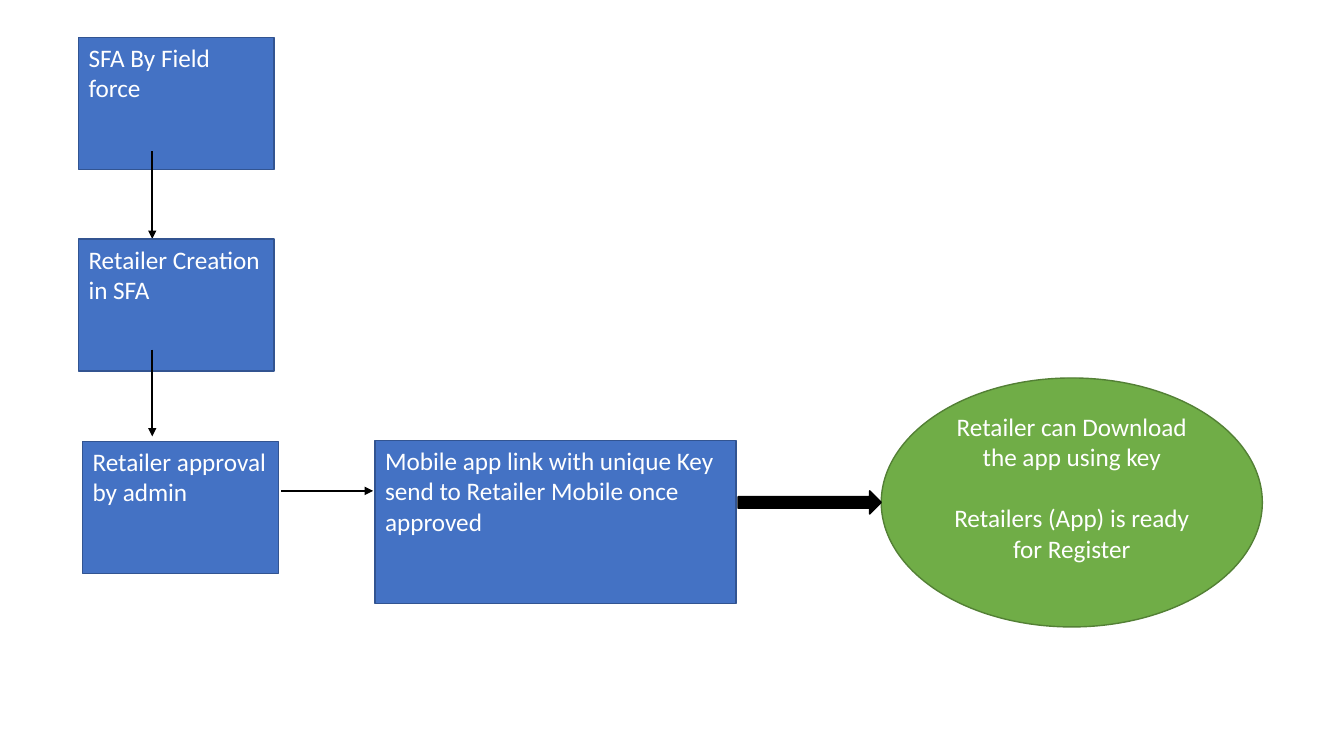
import pptx
import pptx.dml.color
import pptx.enum.shapes
import pptx.enum.text
import pptx.oxml
import pptx.oxml.ns
import pptx.util
from pptx.util import Inches

SHAPE = pptx.enum.shapes.MSO_SHAPE
ALIGN = pptx.enum.text.PP_ALIGN
ANCHOR = pptx.enum.text.MSO_ANCHOR


def color(value):
    return pptx.dml.color.RGBColor.from_string(value)


class FlowSlide:
    """Draws the boxes and arrows of a flow chart on one slide."""

    font_name = "Calibri"
    font_size = 18
    text_color = "FFFFFF"
    box_fill, box_line = "4472C4", "325491"
    goal_fill, goal_line = "70AD47", "538035"
    arrow_color = "000000"

    def __init__(self, slide):
        self.slide = slide

    def add_shape(self, kind, left, top, width, height, fill, line):
        shape = self.slide.shapes.add_shape(
            kind, Inches(left), Inches(top), Inches(width), Inches(height))
        shape.shadow.inherit = False
        shape.fill.solid()
        shape.fill.fore_color.rgb = color(fill)
        shape.line.color.rgb = color(line)
        shape.line.width = pptx.util.Pt(1)
        return shape

    def set_text(self, shape, texts, alignment, anchor, gap=0):
        frame = shape.text_frame
        frame.word_wrap = True
        frame.vertical_anchor = anchor
        frame.text = "\n".join(texts)
        for index, paragraph in enumerate(frame.paragraphs):
            paragraph.alignment = alignment
            paragraph.space_before = pptx.util.Pt(gap if index else 0)
            paragraph.font.name = self.font_name
            paragraph.font.size = pptx.util.Pt(self.font_size)
            paragraph.font.color.rgb = color(self.text_color)

    def add_step(self, text, left, top, width=1.94, height=1.31):
        shape = self.add_shape(SHAPE.RECTANGLE, left, top, width, height,
                               self.box_fill, self.box_line)
        self.set_text(shape, [text], ALIGN.LEFT, ANCHOR.TOP)

    def add_goal(self, texts, left, top, width, height):
        shape = self.add_shape(SHAPE.OVAL, left, top, width, height,
                               self.goal_fill, self.goal_line)
        self.set_text(shape, texts, ALIGN.CENTER, ANCHOR.MIDDLE, gap=22)
        shape.text_frame.margin_bottom = Inches(0.35)

    def add_block_arrow(self, left, top, width, height):
        self.add_shape(SHAPE.RIGHT_ARROW, left, top, width, height,
                       self.arrow_color, self.arrow_color)

    def add_arrow(self, start_x, start_y, end_x, end_y):
        connector = self.slide.shapes.add_connector(
            pptx.enum.shapes.MSO_CONNECTOR.STRAIGHT,
            Inches(start_x), Inches(start_y), Inches(end_x), Inches(end_y))
        connector.line.color.rgb = color(self.arrow_color)
        connector.line.width = pptx.util.Pt(1.5)
        namespace = pptx.oxml.ns.nsdecls("a")
        properties = connector._element.spPr
        properties.find(pptx.oxml.ns.qn("a:ln")).append(
            pptx.oxml.parse_xml(f'<a:tailEnd {namespace} type="triangle"/>'))
        properties.append(pptx.oxml.parse_xml(f"<a:effectLst {namespace}/>"))


def main():
    presentation = pptx.Presentation()
    presentation.slide_width = Inches(13.33)
    presentation.slide_height = Inches(7.5)
    flow = FlowSlide(presentation.slides.add_slide(presentation.slide_layouts[6]))

    flow.add_goal(["Retailer can Download the app using key",
                   "Retailers (App) is ready for Register"], 8.74, 3.75, 3.78, 2.47)
    flow.add_block_arrow(7.32, 4.87, 1.42, 0.23)
    flow.add_step("SFA By Field force", 0.78, 0.37)
    flow.add_arrow(2.79, 4.87, 3.7, 4.87)
    flow.add_arrow(1.51, 1.5, 1.51, 2.37)
    flow.add_step("Retailer Creation in SFA", 0.78, 2.37)
    flow.add_arrow(1.51, 3.47, 1.51, 4.33)
    flow.add_step("Retailer approval by admin", 0.82, 4.38)
    flow.add_step("Mobile app link with unique Key send to Retailer Mobile once approved",
                  3.72, 4.37, 3.58, 1.62)

    presentation.save("out.pptx")


if __name__ == "__main__":
    main()
